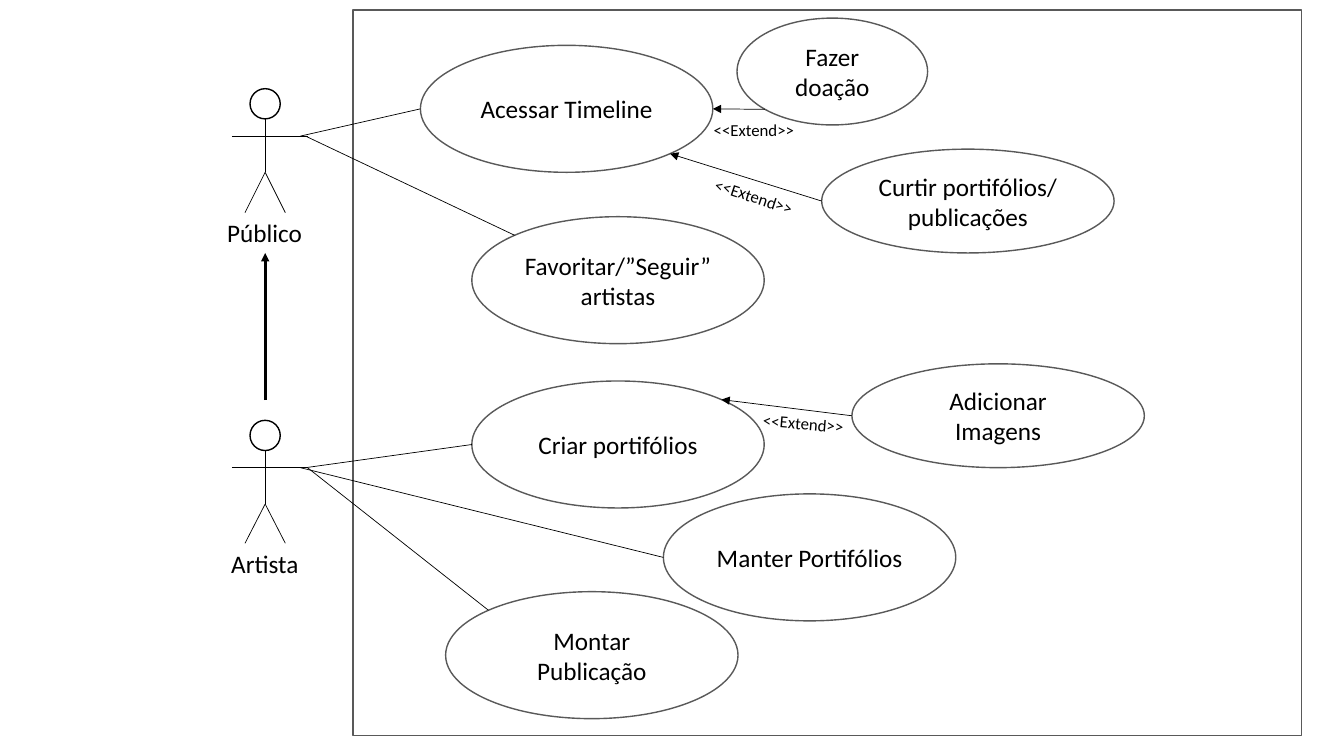
from dataclasses import dataclass

from lxml import etree
from pptx import Presentation
from pptx.dml.color import RGBColor
from pptx.enum.shapes import MSO_CONNECTOR, MSO_SHAPE
from pptx.enum.text import MSO_ANCHOR, PP_ALIGN
from pptx.oxml.ns import qn
from pptx.util import Inches, Pt

STRAIGHT = MSO_CONNECTOR.STRAIGHT
OVAL, RECTANGLE = MSO_SHAPE.OVAL, MSO_SHAPE.RECTANGLE
CENTER, LEFT = PP_ALIGN.CENTER, PP_ALIGN.LEFT
MIDDLE, TOP = MSO_ANCHOR.MIDDLE, MSO_ANCHOR.TOP


@dataclass(frozen=True)
class Theme:
    """Colours, type and line weights of the diagram."""
    ink: RGBColor = RGBColor(0x00, 0x00, 0x00)
    outline: RGBColor = RGBColor(0x59, 0x59, 0x59)
    paper: RGBColor = RGBColor(0xFF, 0xFF, 0xFF)
    font: str = "Calibri"
    body: int = 18
    small: int = 12
    thin: float = 0.5
    normal: float = 1
    heavy: float = 2


THEME = Theme()
DIAGONAL = 0.5 ** 0.5  # offset of the diagonal connection sites of an oval
SITES = {
    "left": (-1, 0), "right": (1, 0),
    "top left": (-DIAGONAL, -DIAGONAL), "top right": (DIAGONAL, -DIAGONAL),
    "bottom left": (-DIAGONAL, DIAGONAL), "bottom right": (DIAGONAL, DIAGONAL),
}

SYSTEM_BOX = (3.5, 0.1, 9.41, 7.2)
USE_CASES = {
    "Acessar Timeline": (4.17, 0.45, 2.9, 1.26),
    "Fazer doação": (7.31, 0.18, 1.89, 1.06),
    "Favoritar/”Seguir” artistas": (4.68, 2.15, 2.9, 1.26),
    "Curtir portifólios/ publicações": (8.15, 1.48, 2.9, 1.03),
    "Criar portifólios": (4.68, 3.78, 2.9, 1.26),
    "Adicionar Imagens": (8.45, 3.61, 2.9, 1.03),
    "Manter Portifólios": (6.58, 4.9, 2.9, 1.26),
    "Montar Publicação": (4.42, 5.87, 2.9, 1.26),
}
# name, box of figure and name, width of the name
ACTORS = [
    ("Público", (2.3, 0.88, 0.75, 1.63), 0.95),
    ("Artista", (2.3, 4.17, 0.75, 1.62), 0.87),
]
# start of the line, use case, site on its outline
ASSOCIATIONS = [
    ((2.98, 1.35), "Acessar Timeline", "left"),
    ((3.03, 1.35), "Favoritar/”Seguir” artistas", "top left"),
    ((3.03, 4.64), "Criar portifólios", "left"),
    ((2.98, 4.64), "Manter Portifólios", "left"),
    ((3.05, 4.64), "Montar Publicação", "top left"),
]
# extending case and site, extended case and site, label position and rotation
EXTENSIONS = [
    ("Fazer doação", "bottom left", "Acessar Timeline", "right", (6.98, 1.14), 0),
    ("Curtir portifólios/ publicações", "left",
     "Acessar Timeline", "bottom right", (6.98, 1.8), 18.2),
    ("Adicionar Imagens", "left", "Criar portifólios", "top right", (7.47, 4.05), 4.7),
]


def inches(values):
    """Turn plain numbers into lengths."""
    return [Inches(value) for value in values]


def add_outlined(shapes, kind, box, color):
    """Add a white preset shape with a normal outline."""
    shape = shapes.add_shape(kind, *inches(box))
    shape.shadow.inherit = False
    shape.fill.solid()
    shape.fill.fore_color.rgb = THEME.paper
    shape.line.color.rgb = color
    shape.line.width = Pt(THEME.normal)
    return shape


def add_line(shapes, start, end, weight=THEME.thin, arrow=False):
    """Add a straight line, with an arrowhead at its end if asked."""
    line = shapes.add_connector(STRAIGHT, *inches((*start, *end)))
    line.line.color.rgb = THEME.ink
    line.line.width = Pt(weight)
    properties = line._element.spPr
    if arrow:
        etree.SubElement(properties.find(qn("a:ln")), qn("a:tailEnd"), type="triangle")
    etree.SubElement(properties, qn("a:effectLst"))


def write(frame, text, size, align, anchor, wrap):
    """Put one formatted paragraph in a text frame."""
    frame.word_wrap = wrap
    frame.vertical_anchor = anchor
    paragraph = frame.paragraphs[0]
    paragraph.text = text
    paragraph.alignment = align
    paragraph.font.name = THEME.font
    paragraph.font.size = Pt(size)
    paragraph.font.color.rgb = THEME.ink


def add_label(shapes, text, box, size, rotation=0):
    """Add a one-line label."""
    label = shapes.add_textbox(*inches(box))
    label.rotation = rotation
    write(label.text_frame, text, size, LEFT, TOP, False)


def add_actor(shapes, name, box, name_width):
    """Draw a grouped stick figure with its name below, inside the box."""
    left, top, width, height = box
    head, name_height = 0.3, 0.4
    spine, hip, feet = left + 0.33, top + 0.83, top + height - name_height
    arms = top + 0.47
    figure = shapes.add_group_shape().shapes
    add_outlined(figure, OVAL, (spine - head / 2, top, head, head), THEME.ink)
    add_line(figure, (spine, top + head), (spine, hip))
    add_line(figure, (left, arms), (left + width, arms))
    for side in (-1, 1):
        add_line(figure, (spine, hip), (spine + side * 0.2, feet))
    add_label(shapes, name, (spine - name_width / 2, feet, name_width, name_height),
              THEME.body)


def add_use_case(shapes, text, box):
    """Draw an oval with its use case centred in it."""
    oval = add_outlined(shapes, OVAL, box, THEME.outline)
    write(oval.text_frame, text, THEME.body, CENTER, MIDDLE, True)


def site_point(use_case, site):
    """Find a connection site on the outline of a use case."""
    left, top, width, height = USE_CASES[use_case]
    across, down = SITES[site]
    return left + width / 2 * (1 + across), top + height / 2 * (1 + down)


def add_extension(shapes, source, source_site, target, target_site, label_at, rotation):
    """Draw an extend arrow between two use cases, with its label."""
    add_line(shapes, site_point(source, source_site), site_point(target, target_site),
             arrow=True)
    add_label(shapes, "<<Extend>>", (*label_at, 1.01, 0.3), THEME.small, rotation)


def build_use_case_slide(presentation):
    """Build the use case diagram."""
    shapes = presentation.slides.add_slide(presentation.slide_layouts[6]).shapes
    add_outlined(shapes, RECTANGLE, SYSTEM_BOX, THEME.outline)
    for name, box, name_width in ACTORS:
        add_actor(shapes, name, box, name_width)
    for text, box in USE_CASES.items():
        add_use_case(shapes, text, box)
    for start, use_case, site in ASSOCIATIONS:
        add_line(shapes, start, site_point(use_case, site))
    for extension in EXTENSIONS:
        add_extension(shapes, *extension)
    add_line(shapes, (2.63, 3.97), (2.63, 2.51), THEME.heavy, arrow=True)


deck = Presentation()
deck.slide_width, deck.slide_height = inches((13.33, 7.5))
build_use_case_slide(deck)
deck.save("out.pptx")
